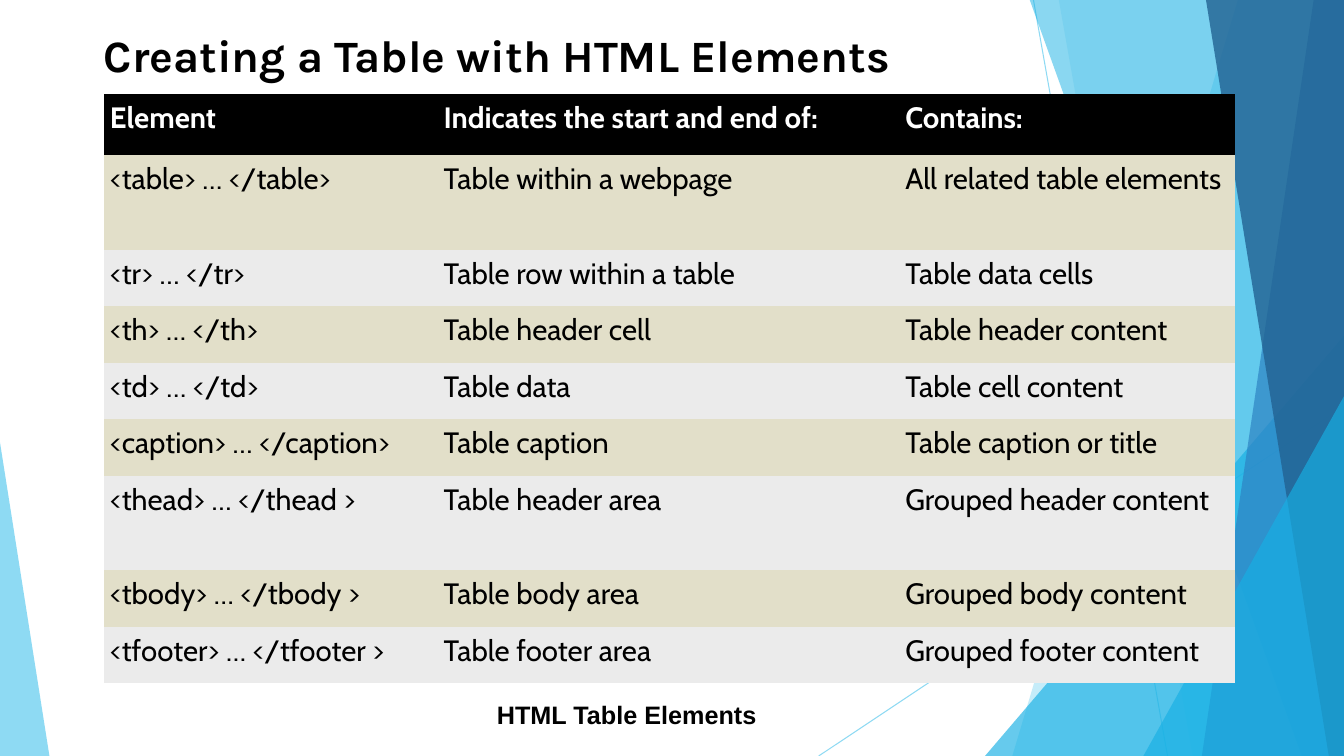
from dataclasses import dataclass

import pptx
import pptx.dml.color
import pptx.enum.shapes
import pptx.enum.text
import pptx.oxml.ns
import pptx.oxml.xmlchemy
import pptx.util
from pptx.util import Inches


@dataclass(frozen=True)
class Theme:
    black: str = "000000"
    white: str = "FFFFFF"
    sand: str = "E2DFC9"
    grey: str = "EBEBEB"
    sky: str = "5FCBEF"
    cyan: str = "17B0E4"
    blue: str = "2E83C3"
    navy: str = "226292"
    title_font: str = "Karla"
    table_font: str = "Cabin"
    caption_font: str = "Arial"
    title_size: float = 32
    table_size: float = 21
    caption_size: float = 18
    line_width: float = 0.75


@dataclass(frozen=True)
class Ray:
    start: tuple[float, float]
    end: tuple[float, float]


@dataclass(frozen=True)
class Band:
    """A full-height facet reaching the right edge of the slide."""
    top_left: float
    bottom_left: float
    color: str
    opacity: int


@dataclass(frozen=True)
class Triangle:
    left: float
    top: float
    width: float
    apex: float
    color: str
    opacity: int


@dataclass(frozen=True)
class Label:
    text: str
    box: tuple[float, float, float, float]
    font: str
    size: float
    anchor: pptx.enum.text.MSO_ANCHOR


THEME = Theme()
SLIDE_WIDTH, SLIDE_HEIGHT = 13.33, 7.5

DECORATIONS = [
    Ray((10.25, 0), (11.58, 7.5)),
    Ray((13.33, 4.03), (8.12, 7.5)),
    Band(12.28, 10.04, THEME.sky, 36),
    Band(10.5, 11.83, THEME.sky, 20),
    Triangle(9.77, 3.33, 3.56, 1, THEME.cyan, 66),
    Band(10.21, 12.91, THEME.cyan, 50),
    Band(13.03, 11.92, THEME.blue, 70),
    Band(11.96, 13.18, THEME.navy, 80),
    Triangle(11.34, 3.93, 1.99, 1, THEME.cyan, 66),
    Triangle(0, 4.39, 0.49, 0, THEME.sky, 70),
]

LABELS = [
    Label("Creating a Table with HTML Elements", (0.93, 0.17, 9.98, 0.75),
          THEME.title_font, THEME.title_size, pptx.enum.text.MSO_ANCHOR.MIDDLE),
    Label("HTML Table Elements", (4.83, 6.89, 4.31, 0.23),
          THEME.caption_font, THEME.caption_size, pptx.enum.text.MSO_ANCHOR.TOP),
]

COLUMN_WIDTHS = [3.31, 4.58, 3.33]
HEADER_HEIGHT, ROW_HEIGHT, TALL_ROW_HEIGHT = 0.61, 0.56, 0.94
TALL_ROWS = (1, 6)
CELL_MARGIN = 0.06
ROWS = [
    ("Element", "Indicates the start and end of:", "Contains:"),
    ("<table> … </table>", "Table within a webpage", "All related table elements"),
    ("<tr> … </tr>", "Table row within a table", "Table data cells"),
    ("<th> … </th>", "Table header cell", "Table header content"),
    ("<td> … </td>", "Table data", "Table cell content"),
    ("<caption> … </caption>", "Table caption", "Table caption or title"),
    ("<thead> … </thead >", "Table header area", "Grouped header content"),
    ("<tbody> … </tbody >", "Table body area", "Grouped body content"),
    ("<tfooter> … </tfooter >", "Table footer area", "Grouped footer content"),
]


def rgb(color: str) -> pptx.dml.color.RGBColor:
    return pptx.dml.color.RGBColor.from_string(color)


def set_opacity(element, percent: int) -> None:
    """Add alpha to the first solid colour inside the element."""
    color = next(element.iter(pptx.oxml.ns.qn("a:srgbClr")))
    alpha = pptx.oxml.xmlchemy.OxmlElement("a:alpha")
    alpha.set("val", str(percent * 1000))
    color.append(alpha)


def paint(shape, color: str, opacity: int) -> None:
    shape.shadow.inherit = False
    shape.fill.solid()
    shape.fill.fore_color.rgb = rgb(color)
    shape.line.fill.background()
    set_opacity(shape._element.spPr, opacity)


def draw_ray(slide, ray: Ray) -> None:
    connector = slide.shapes.add_connector(
        pptx.enum.shapes.MSO_CONNECTOR.STRAIGHT,
        *(Inches(value) for value in ray.start + ray.end))
    connector.line.color.rgb = rgb(THEME.sky)
    connector.line.width = pptx.util.Pt(THEME.line_width)
    properties = connector._element.spPr
    set_opacity(properties, 70)
    properties.append(pptx.oxml.xmlchemy.OxmlElement("a:effectLst"))


def draw_band(slide, band: Band) -> None:
    builder = slide.shapes.build_freeform(
        Inches(band.top_left), Inches(-0.01), scale=1.0)
    corners = [(SLIDE_WIDTH, -0.01), (SLIDE_WIDTH, SLIDE_HEIGHT),
               (band.bottom_left, SLIDE_HEIGHT)]
    builder.add_line_segments([(Inches(x), Inches(y)) for x, y in corners], close=True)
    paint(builder.convert_to_shape(), band.color, band.opacity)


def draw_triangle(slide, triangle: Triangle) -> None:
    shape = slide.shapes.add_shape(
        pptx.enum.shapes.MSO_SHAPE.ISOSCELES_TRIANGLE,
        Inches(triangle.left), Inches(triangle.top),
        Inches(triangle.width), Inches(SLIDE_HEIGHT - triangle.top))
    shape.adjustments[0] = triangle.apex
    paint(shape, triangle.color, triangle.opacity)


def add_text(paragraph, text: str, font: str, size: float, color: str, bold: bool) -> None:
    run = paragraph.add_run()
    run.text = text
    run.font.name = font
    run.font.size = pptx.util.Pt(size)
    run.font.bold = bold
    run.font.color.rgb = rgb(color)


def draw_label(slide, label: Label) -> None:
    frame = slide.shapes.add_textbox(*(Inches(value) for value in label.box)).text_frame
    frame.word_wrap = True
    frame.vertical_anchor = label.anchor
    add_text(frame.paragraphs[0], label.text, label.font, label.size, THEME.black, True)


def row_height(index: int) -> float:
    if index == 0:
        return HEADER_HEIGHT
    return TALL_ROW_HEIGHT if index in TALL_ROWS else ROW_HEIGHT


def row_fill(index: int) -> str:
    if index == 0:
        return THEME.black
    return THEME.sand if index % 2 else THEME.grey


def draw_table(slide) -> None:
    heights = [row_height(index) for index in range(len(ROWS))]
    table = slide.shapes.add_table(
        len(ROWS), len(COLUMN_WIDTHS), Inches(1.03), Inches(0.93),
        Inches(sum(COLUMN_WIDTHS)), Inches(sum(heights))).table
    for column, width in zip(table.columns, COLUMN_WIDTHS):
        column.width = Inches(width)
    for index, texts in enumerate(ROWS):
        table.rows[index].height = Inches(heights[index])
        is_header = index == 0
        for cell, text in zip(table.rows[index].cells, texts):
            cell.margin_left = cell.margin_right = Inches(CELL_MARGIN)
            cell.margin_top = cell.margin_bottom = Inches(CELL_MARGIN)
            cell.fill.solid()
            cell.fill.fore_color.rgb = rgb(row_fill(index))
            add_text(cell.text_frame.paragraphs[0], text, THEME.table_font,
                     THEME.table_size, THEME.white if is_header else THEME.black, is_header)
    # The default style draws white rules between cells; this one has none.
    style = table._tbl.tblPr.find(pptx.oxml.ns.qn("a:tableStyleId"))
    style.text = "{2D5ABB26-0587-4C30-8999-92F81FD0307C}"


def main() -> None:
    presentation = pptx.Presentation()
    presentation.slide_width = Inches(SLIDE_WIDTH)
    presentation.slide_height = Inches(SLIDE_HEIGHT)
    slide = presentation.slides.add_slide(presentation.slide_layouts[6])
    painters = {Ray: draw_ray, Band: draw_band, Triangle: draw_triangle}
    for decoration in DECORATIONS:
        painters[type(decoration)](slide, decoration)
    draw_table(slide)
    for label in LABELS:
        draw_label(slide, label)
    presentation.save("out.pptx")


if __name__ == "__main__":
    main()
